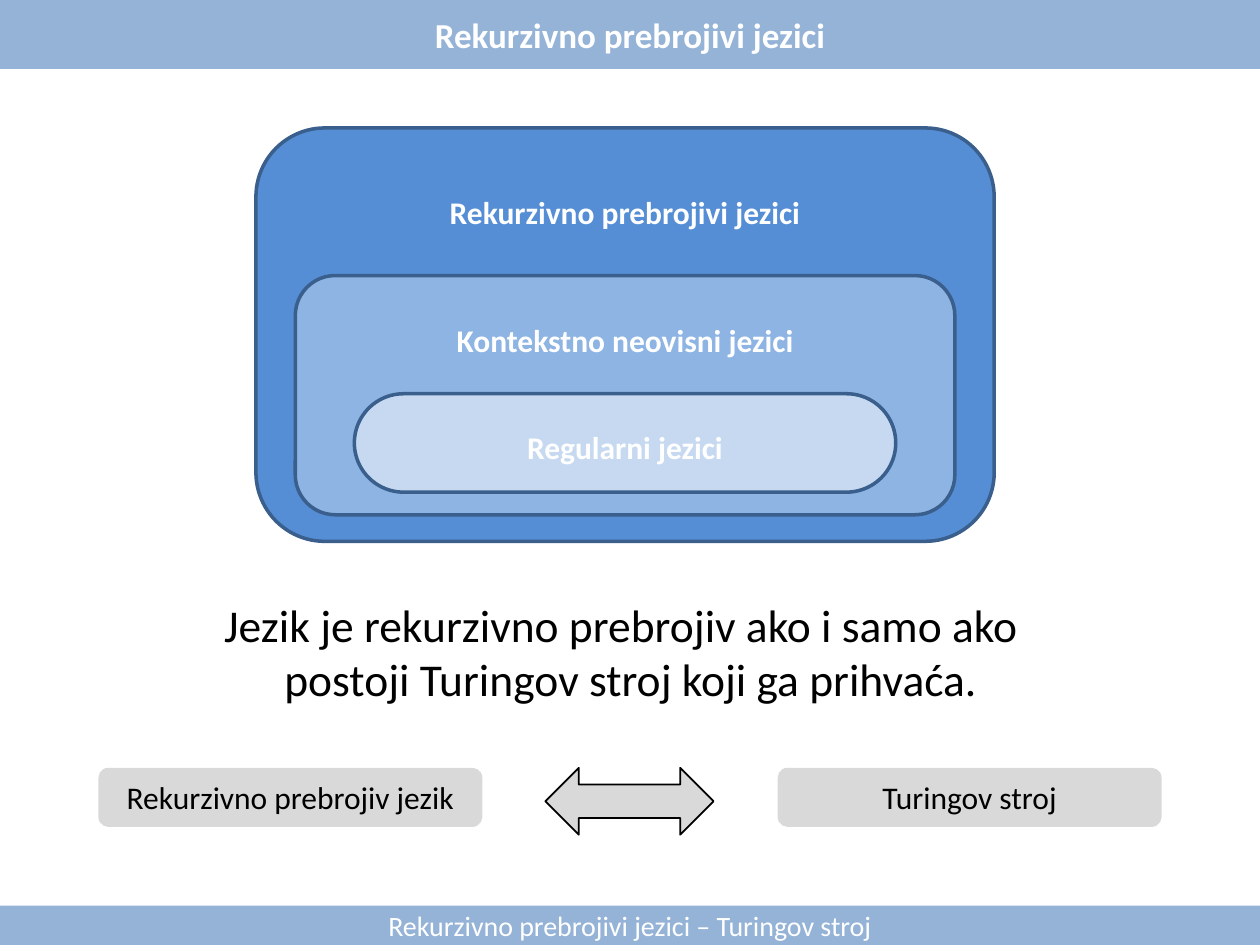
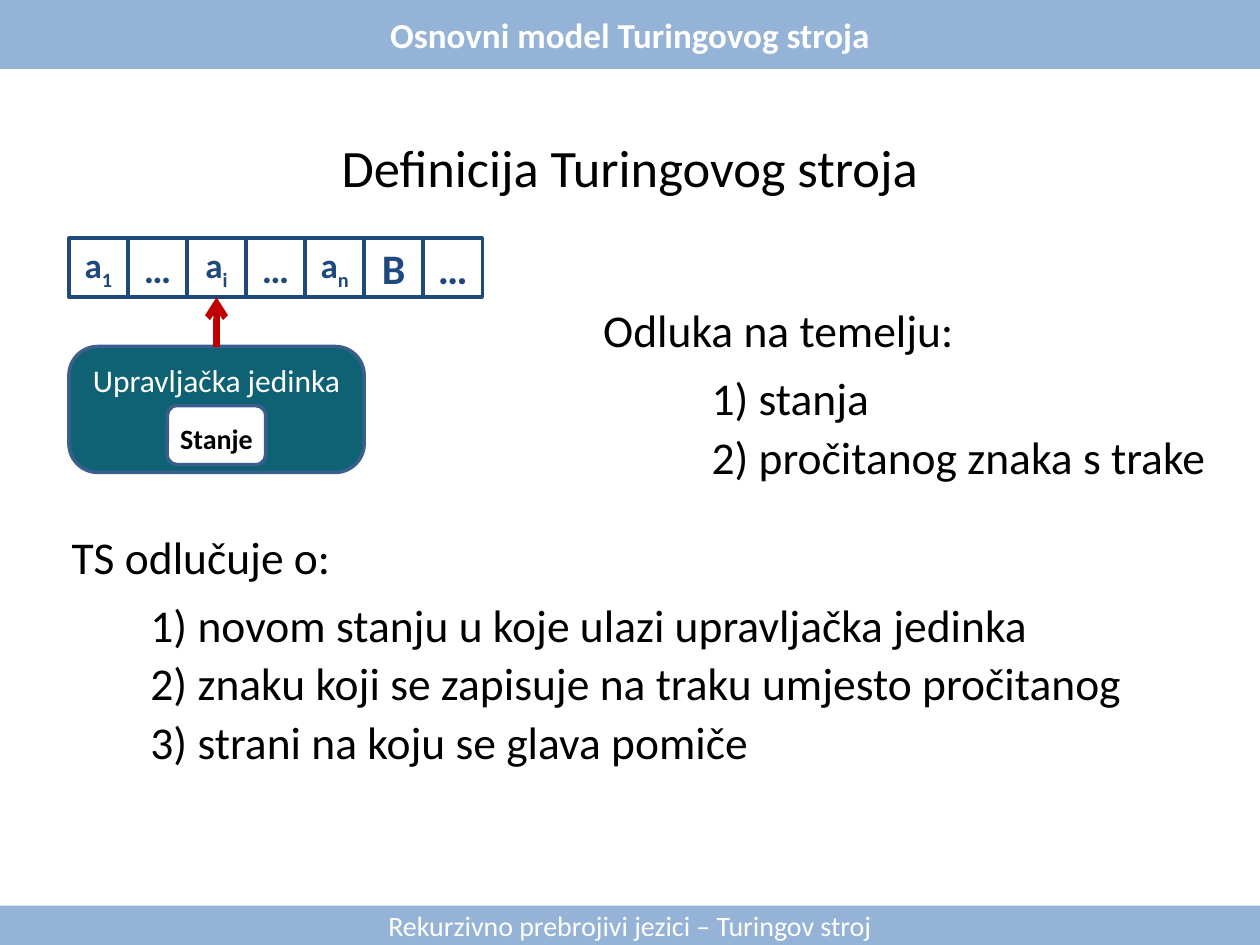
from lxml import etree
from pptx import Presentation
from pptx.dml.color import RGBColor
from pptx.enum.shapes import MSO_CONNECTOR, MSO_SHAPE
from pptx.enum.text import MSO_ANCHOR, MSO_AUTO_SIZE, PP_ALIGN
from pptx.oxml.ns import qn
from pptx.util import Inches, Pt

RECT = MSO_SHAPE.RECTANGLE
ROUNDED = MSO_SHAPE.ROUNDED_RECTANGLE
DOUBLE_ARROW = MSO_SHAPE.LEFT_RIGHT_ARROW
STRAIGHT = MSO_CONNECTOR.STRAIGHT
LEFT, CENTER = PP_ALIGN.LEFT, PP_ALIGN.CENTER
TOP, MIDDLE = MSO_ANCHOR.TOP, MSO_ANCHOR.MIDDLE
NO_AUTOFIT = MSO_AUTO_SIZE.NONE

WIDTH, HEIGHT = Inches(10), Inches(7.5)
COLUMNS, ROWS = 128, 96
CONTENT_LAYOUT, TWO_CONTENT_LAYOUT = 1, 3
FONT = "Calibri"
COLORS = {
    "band": "95B3D7", "white": "FFFFFF", "black": "000000", "grey": "D9D9D9",
    "outline": "3A5F8C", "enumerable": "558ED5", "context_free": "8EB4E3",
    "regular": "C6D9F1", "control": "0F6274", "tape": "1F497D", "head": "C00000",
}
FOOTER = "Rekurzivno prebrojivi jezici – Turingov stroj"


def color(name):
    """Return the named colour of the deck."""
    return RGBColor.from_string(COLORS[name])


def grid(left, top, width, height):
    """Turn columns and rows into slide lengths."""
    across, down = WIDTH / COLUMNS, HEIGHT / ROWS
    return [round(n) for n in (left * across, top * down, width * across, height * down)]


class Deck:
    """Holds the shared style and the slide being built."""

    def __init__(self):
        """Open an empty deck of the right size."""
        self.presentation = Presentation()
        self.presentation.slide_width = WIDTH
        self.presentation.slide_height = HEIGHT
        self.slide = None

    def start(self, title, layout):
        """Add a slide with its title band and footer band."""
        layouts = self.presentation.slide_layouts
        self.slide = self.presentation.slides.add_slide(layouts[layout])
        heading = self.slide.shapes.title
        self.place(heading, (0, 0, COLUMNS, 7))
        heading.fill.solid()
        heading.fill.fore_color.rgb = color("band")
        self.set_text(heading.text_frame, title, 20, "white", bold=True)
        self.shape(RECT, (0, 92, COLUMNS, 4), "band", FOOTER, 16, "white")

    def place(self, placeholder, area):
        """Move a placeholder to an area of the grid."""
        placeholder.left, placeholder.top, placeholder.width, placeholder.height = grid(*area)

    def set_text(self, frame, text, size, ink="black", bold=False, align=CENTER,
                 anchor=MIDDLE, subscript=""):
        """Fill a text frame and format its runs."""
        frame.word_wrap = True
        frame.auto_size = NO_AUTOFIT
        frame.vertical_anchor = anchor
        frame.text = text
        if subscript:
            index = frame.paragraphs[0].add_run()
            index.text = subscript
            index.font._element.set("baseline", "-25000")
        for paragraph in frame.paragraphs:
            paragraph.alignment = align
            for run in paragraph.runs:
                run.font.name = FONT
                run.font.size = Pt(size)
                run.font.bold = bold
                run.font.color.rgb = color(ink)

    def shape(self, kind, area, fill=None, text="", size=18, ink="black", line=None,
              weight=2, rounding=None, inset=0.05, **style):
        """Draw a preset shape, with text if any."""
        drawn = self.slide.shapes.add_shape(kind, *grid(*area))
        drawn.shadow.inherit = False
        if fill:
            drawn.fill.solid()
            drawn.fill.fore_color.rgb = color(fill)
        else:
            drawn.fill.background()
        if line:
            drawn.line.color.rgb = color(line)
            drawn.line.width = Pt(weight)
        else:
            drawn.line.fill.background()
        if rounding is not None:
            drawn.adjustments[0] = rounding
        if text:
            drawn.text_frame.margin_left = drawn.text_frame.margin_right = Inches(inset)
            self.set_text(drawn.text_frame, text, size, ink, **style)
        return drawn

    def label(self, area, text, size, ink="black", **style):
        """Add a free line of text."""
        frame = self.slide.shapes.add_textbox(*grid(*area)).text_frame
        frame.margin_left = frame.margin_right = 0
        self.set_text(frame, text, size, ink, **style)

    def body(self, index, area, lines, align=LEFT, indent=0, gaps=(0, 0)):
        """Fill a body placeholder; lines after the first may be indented."""
        holder = self.slide.placeholders[index]
        self.place(holder, area)
        self.set_text(holder.text_frame, "\n".join(lines), 26, align=align, anchor=TOP)
        for number, paragraph in enumerate(holder.text_frame.paragraphs):
            properties = paragraph._p.get_or_add_pPr()
            margin = grid(indent, 0, 0, 0)[0] if number else 0
            properties.set("marL", str(margin))
            properties.set("indent", "0")
            etree.SubElement(properties, qn("a:buNone"))
            paragraph.line_spacing = 1.0
            paragraph.space_before = Pt((0, *gaps)[min(number, 2)])
        return holder

    def arrow(self, source, source_side, target, target_side, ink, weight):
        """Join two shapes with an open arrow."""
        joined = self.slide.shapes.add_connector(STRAIGHT, 0, 0, 0, 0)
        joined.begin_connect(source, source_side)
        joined.end_connect(target, target_side)
        joined.line.color.rgb = color(ink)
        joined.line.width = Pt(weight)
        outline = joined.line._get_or_add_ln()
        etree.SubElement(outline, qn("a:tailEnd"), type="arrow")
        etree.SubElement(outline.getparent(), qn("a:effectLst"))


def language_classes(deck):
    """Build the slide on nested language classes."""
    deck.start("Rekurzivno prebrojivi jezici", CONTENT_LAYOUT)
    classes = [
        ("Rekurzivno prebrojivi jezici", "enumerable", (26, 13, 75, 42), None, 19),
        ("Kontekstno neovisni jezici", "context_free", (30, 28, 67, 24.3), None, 32),
        ("Regularni jezici", "regular", (36, 40, 55, 10), 0.5, 42.9),
    ]
    for name, fill, area, rounding, name_row in classes:
        deck.shape(ROUNDED, area, fill, line="outline", rounding=rounding)
        deck.label((37, name_row, 53, 5.1), name, 18, "white", bold=True)

    statement = deck.body(1, (21.5, 60, 85.2, 12.5), [
        "Jezik je rekurzivno prebrojiv ako i samo ako",
        "postoji Turingov stroj koji ga prihvaća.",
    ])
    statement.text_frame.paragraphs[1].alignment = CENTER

    deck.shape(DOUBLE_ARROW, (55.4, 78, 17.1, 6.8), "grey", line="black", weight=1)
    for column, side in ((10, "Rekurzivno prebrojiv jezik"), (79, "Turingov stroj")):
        deck.shape(ROUNDED, (column, 78, 39, 6), "grey", side)


def machine_model(deck):
    """Build the slide on the basic Turing machine."""
    deck.start("Osnovni model Turingovog stroja", TWO_CONTENT_LAYOUT)
    deck.label((20.5, 13, 87, 7.8), "Definicija Turingovog stroja", 30)

    symbols = [("a", "1", 20), ("…", "", 22), ("a", "i", 20), ("…", "", 22),
               ("a", "n", 20), ("B", "", 24), ("…", "", 24)]
    tape = [
        deck.shape(RECT, (7 + 6 * position, 24.2, 6, 6), None, symbol, size, "tape",
                   line="tape", inset=0, bold=True, subscript=subscript)
        for position, (symbol, subscript, size) in enumerate(symbols)
    ]
    control = deck.shape(ROUNDED, (7, 35.2, 30, 12.8), "control", "Upravljačka jedinka",
                         18, "white", line="outline", rounding=0.23, anchor=TOP)
    deck.shape(ROUNDED, (17, 41.2, 10, 6), "white", line="outline")
    deck.label((17, 42.2, 10, 4.7), "Stanje", 16, bold=True)
    deck.arrow(control, 0, tape[2], 2, "head", 3.75)

    deck.body(2, (60, 30, 67, 20), [
        "Odluka na temelju:",
        "1) stanja",
        "2) pročitanog znaka s trake",
    ], indent=11, gaps=(8, 2.5))
    deck.body(1, (6, 53.1, 116, 26), [
        "TS odlučuje o:",
        "1) novom stanju u koje ulazi upravljačka jedinka",
        "2) znaku koji se zapisuje na traku umjesto pročitanog",
        "3) strani na koju se glava pomiče",
    ], indent=8, gaps=(7.5, 2.2))


def main():
    """Build and save the deck."""
    deck = Deck()
    language_classes(deck)
    machine_model(deck)
    deck.presentation.save("out.pptx")


if __name__ == "__main__":
    main()
